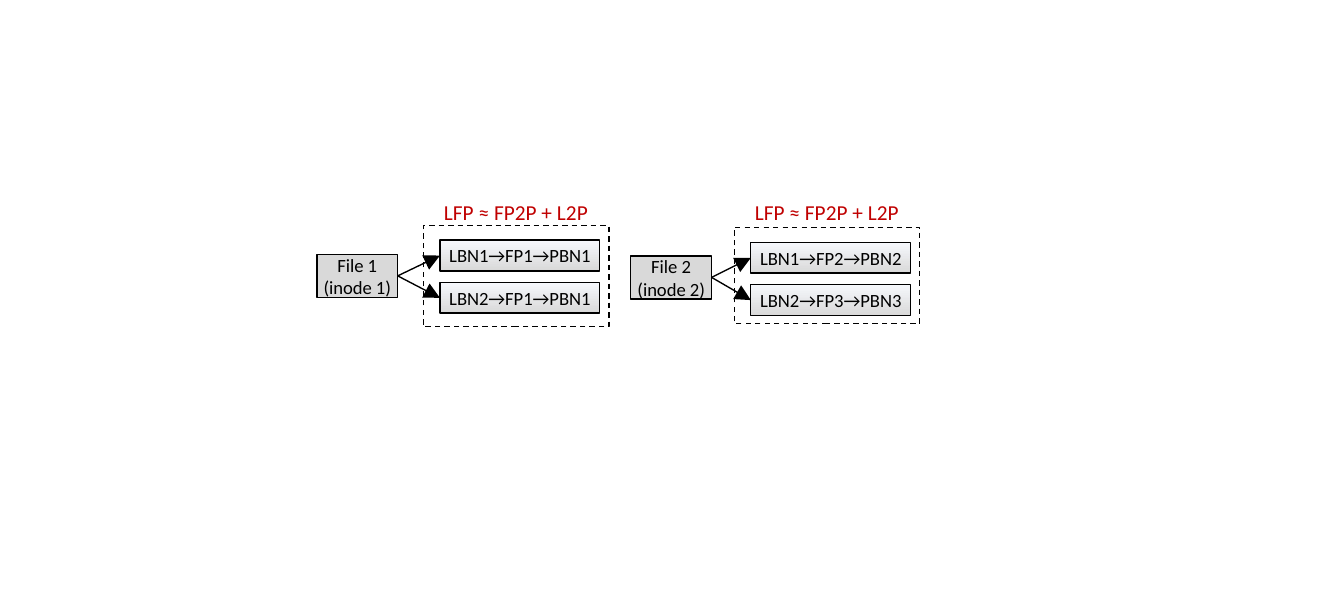
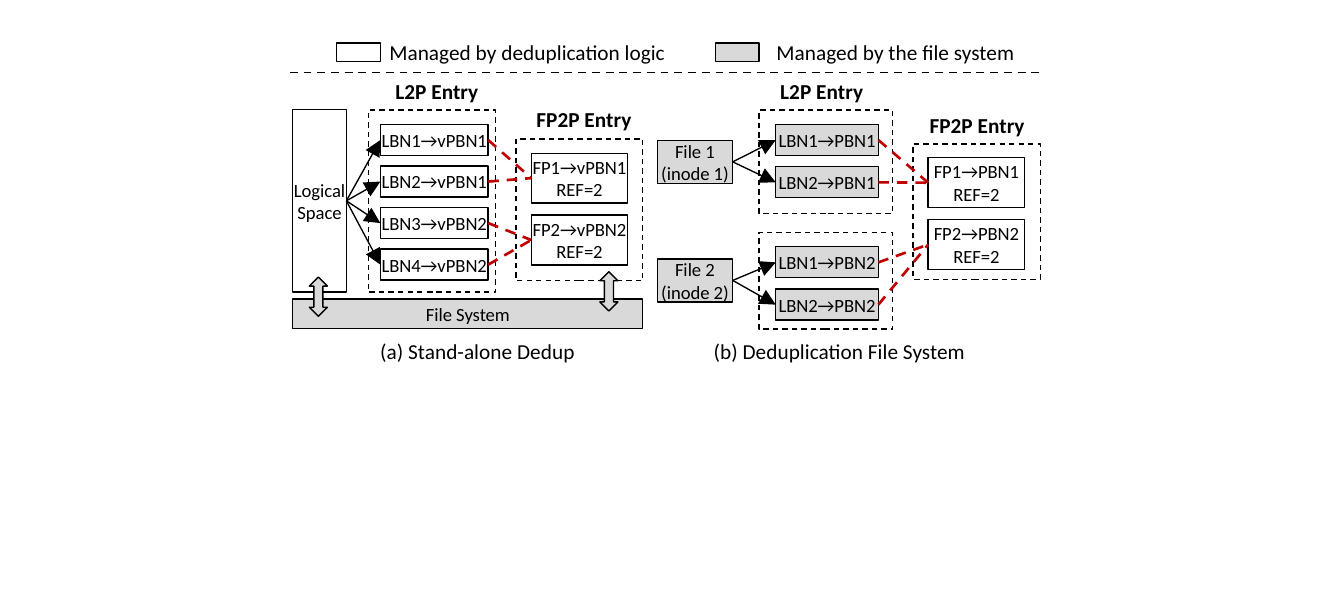
from dataclasses import dataclass, replace
from itertools import product

from lxml.etree import SubElement
from pptx import Presentation
from pptx.dml.color import RGBColor
from pptx.enum.dml import MSO_LINE
from pptx.enum.shapes import MSO_CONNECTOR, MSO_SHAPE
from pptx.enum.text import MSO_ANCHOR, PP_ALIGN
from pptx.oxml.ns import qn
from pptx.util import Cm, Pt


@dataclass(frozen=True)
class Theme:
    font: str = "Calibri"
    black: RGBColor = RGBColor(0x00, 0x00, 0x00)
    white: RGBColor = RGBColor(0xFF, 0xFF, 0xFF)
    grey: RGBColor = RGBColor(0xD9, 0xD9, 0xD9)
    pale: RGBColor = RGBColor(0xF6, 0xF8, 0xFC)
    red: RGBColor = RGBColor(0xC0, 0x00, 0x00)
    box_size: Pt = Pt(7)
    label_size: Pt = Pt(8)
    outline: Pt = Pt(0.5)


@dataclass(frozen=True)
class Look:
    """One fill colour is solid, two are a gradient, none is a plain label."""
    fills: tuple = ()
    dash: MSO_LINE = None
    size: Pt = Theme.box_size
    color: RGBColor = Theme.black
    bold: bool = False
    align: PP_ALIGN = PP_ALIGN.CENTER


WHITE = Look((Theme.white,))
GREY = Look((Theme.grey,))
SHEEN = Look((Theme.pale, Theme.grey))
FRAME = replace(WHITE, dash=MSO_LINE.DASH)
CAPTION = Look(size=Theme.label_size)
HEADING = replace(CAPTION, bold=True)
FORMULA = replace(CAPTION, color=Theme.red)
LEGEND = replace(CAPTION, align=PP_ALIGN.LEFT)

# Line styles: colour, width, dash, arrowhead
ARROW = (Theme.black, Theme.outline, None, True)
MAPPING = (Theme.red, Pt(1), MSO_LINE.DASH, False)
DIVIDER = (Theme.black, Pt(0.75), MSO_LINE.DASH, False)


def add_box(page, look, place, *lines, preset=MSO_SHAPE.RECTANGLE):
    place = [Cm(value) for value in place]
    if look.fills:
        box = page.shapes.add_shape(preset, *place)
        box.shadow.inherit = False
        if len(look.fills) == 1:
            box.fill.solid()
            box.fill.fore_color.rgb = look.fills[0]
        else:
            box.fill.gradient()
            box.fill.gradient_angle = 270
            for stop, color in zip(box.fill.gradient_stops, look.fills):
                stop.color.rgb = color
        box.line.color.rgb = Theme.black
        box.line.width = Theme.outline
        if look.dash:
            box.line.dash_style = look.dash
    else:
        box = page.shapes.add_textbox(*place)
    if lines:
        frame_format = {"margin_left": 0, "margin_right": 0, "margin_top": 0,
                        "margin_bottom": 0, "word_wrap": not look.fills,
                        "vertical_anchor": MSO_ANCHOR.MIDDLE}
        for name, value in frame_format.items():
            setattr(box.text_frame, name, value)
    for index, line in enumerate(lines):
        para = box.text_frame.add_paragraph() if index else box.text_frame.paragraphs[0]
        para.alignment = look.align
        span = para.add_run()
        span.text = line
        span.font.color.rgb = look.color
        for name, value in {"name": Theme.font, "size": look.size, "bold": look.bold}.items():
            setattr(span.font, name, value)
    return box


def add_line(page, style, ends=(0, 0, 0, 0)):
    color, width, dash, arrowhead = style
    line = page.shapes.add_connector(MSO_CONNECTOR.STRAIGHT, *[Cm(value) for value in ends])
    line.line.color.rgb = color
    line.line.width = width
    if dash:
        line.line.dash_style = dash
    if arrowhead:
        SubElement(line.line._get_or_add_ln(), qn("a:tailEnd"), type="triangle")
    SubElement(line._element.spPr, qn("a:effectLst"))
    return line


deck = Presentation()
deck.slide_width, deck.slide_height = Cm(17.81), Cm(8)
blank = deck.slide_layouts[6]
links = []  # page, line style, box on the left, box on the right

# Slide 1: merged entries for each file
page = deck.slides.add_slide(blank)
file_groups = [
    (1, 4.2, 3.37, 5.61, 2.99, 1.34, 3.18, ["LBN1→FP1→PBN1", "LBN2→FP1→PBN1"]),
    (2, 8.36, 3.39, 9.73, 3.01, 1.28, 3.21, ["LBN1→FP2→PBN2", "LBN2→FP3→PBN3"]),
]
for number, file_left, file_top, left, top, height, entry_top, entries in file_groups:
    add_box(page, FRAME, (left, top, 2.46, height))
    file_box = add_box(page, GREY, (file_left, file_top, 1.07, 0.57),
                       f"File {number}", f"(inode {number})")
    for row, entry in enumerate(entries):
        entry_box = add_box(page, SHEEN, (left + 0.22, entry_top + row * 0.56, 2.12, 0.41), entry)
        links.append((page, ARROW, file_box, entry_box))
    add_box(page, FORMULA, (left, 2.62, 2.46, 0.38), "LFP ≈ FP2P + L2P")

# Slide 2: legend
page = deck.slides.add_slide(blank)
for look, left, label_left, text in [
    (WHITE, 4.46, 5.16, "Managed by deduplication logic"),
    (GREY, 9.48, 10.29, "Managed by the file system"),
]:
    add_box(page, look, (left, 0.57, 0.58, 0.25))
    add_box(page, LEGEND, (label_left, 0.57, 3.8, 0.25), text)
add_line(page, DIVIDER, (3.84, 0.96, 13.84, 0.96))

# Frames
for place in [(6.84, 1.84, 1.68, 1.88), (4.88, 1.46, 1.69, 2.41), (10.06, 1.46, 1.77, 1.37),
              (10.06, 3.08, 1.77, 1.28), (12.1, 1.91, 1.69, 1.79)]:
    add_box(page, FRAME, place)

# Headings and captions
for look, text, left, top, width in [
    (HEADING, "L2P Entry", 5.03, 1.02, 1.52),
    (HEADING, "FP2P Entry", 6.98, 1.4, 1.52),
    (HEADING, "L2P Entry", 10.13, 1.02, 1.52),
    (HEADING, "FP2P Entry", 12.19, 1.47, 1.52),
    (CAPTION, "(a) Stand-alone Dedup", 4.22, 4.47, 4.22),
    (CAPTION, "(b) Deduplication File System", 9.37, 4.47, 3.51),
]:
    add_box(page, look, (left, top, width, 0.36), text)

# Fingerprint entries of both designs
fingerprints = {}
for (design, left, top, prefix), number in product(
        [("a", 7.04, 2.03, "v"), ("b", 12.3, 2.09, "")], (1, 2)):
    place = (left, top + (number - 1) * 0.82, 1.28, 0.66)
    fingerprints[design, number] = add_box(
        page, WHITE, place, f"FP{number}→{prefix}PBN{number}", "REF=2")

# Stand-alone design: logical space over the file system
space_box = add_box(page, WHITE, (3.88, 1.45, 0.71, 2.42), "Logical", "Space")
for row in range(4):
    block = row // 2 + 1
    entry_box = add_box(page, WHITE, (5.04, 1.65 + row * 0.55, 1.43, 0.41),
                        f"LBN{row + 1}→vPBN{block}")
    links += [(page, ARROW, space_box, entry_box),
              (page, MAPPING, entry_box, fingerprints["a", block])]
add_box(page, GREY, (3.88, 3.96, 4.64, 0.39), "File System")
for left, top in [(4.1, 3.67), (7.95, 3.6)]:
    add_box(page, GREY, (left, top, 0.24, 0.52), preset=MSO_SHAPE.UP_DOWN_ARROW)

# Deduplication file system: two files
for number, file_top, entry_top in [(1, 1.86, 1.65), (2, 3.43, 3.27)]:
    file_box = add_box(page, GREY, (8.71, file_top, 1, 0.57),
                       f"File {number}", f"(inode {number})")
    for row in range(2):
        entry_box = add_box(page, GREY, (10.28, entry_top + row * 0.56, 1.36, 0.41),
                            f"LBN{row + 1}→PBN{number}")
        links += [(page, ARROW, file_box, entry_box),
                  (page, MAPPING, entry_box, fingerprints["b", number])]

# Links run from the right side of one box to the left side of the next
for link_page, style, start, end in links:
    line = add_line(link_page, style)
    line.begin_connect(start, 3)
    line.end_connect(end, 1)

deck.save("out.pptx")
